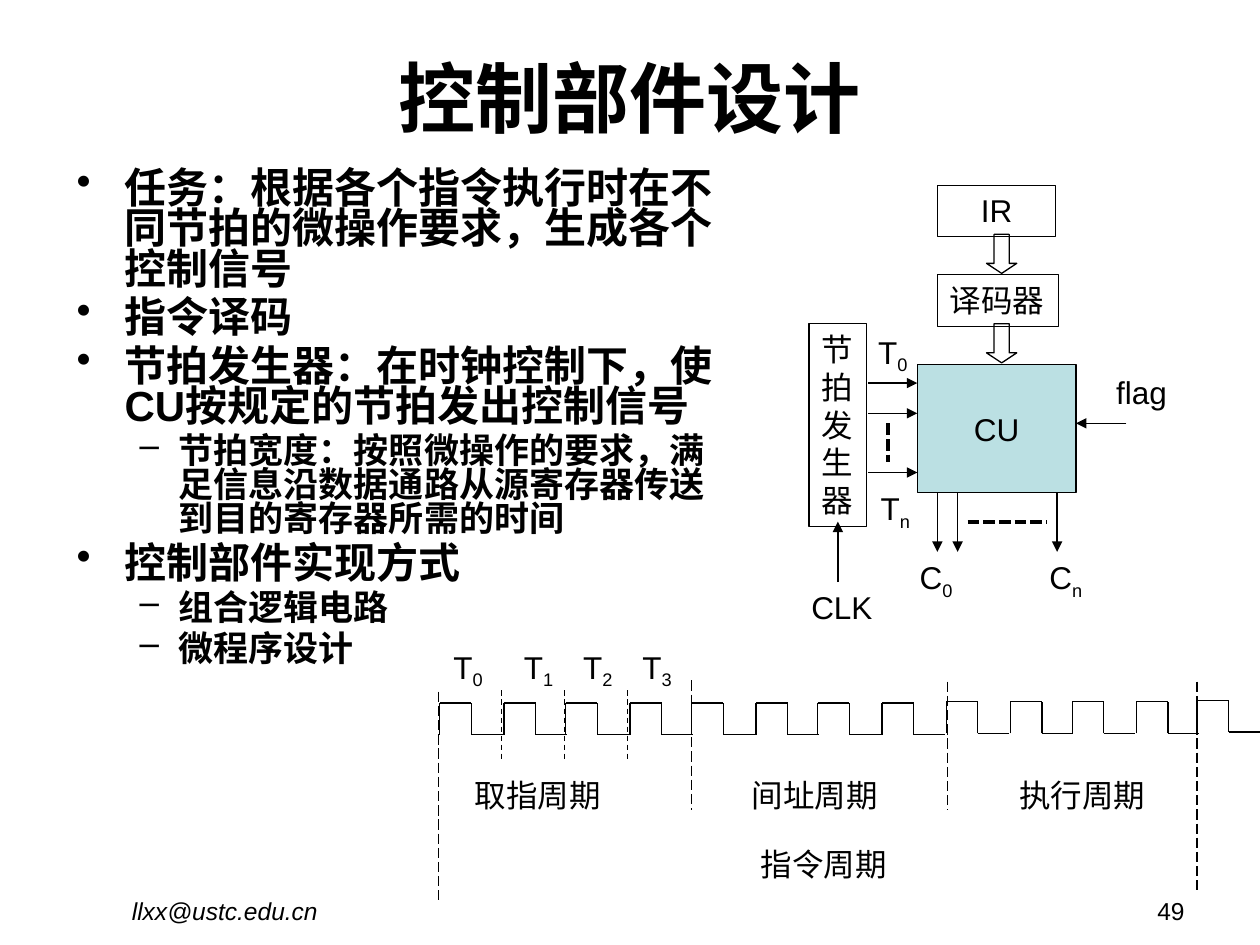
from lxml import etree
from pptx import Presentation
from pptx import util as u
from pptx.dml.color import RGBColor
from pptx.enum import dml, shapes, text
from pptx.oxml import ns

PX = 9144  # EMU per px, 100 px to the inch
COLOURS = {"ink": "000000", "unit": "BBE0E3"}
LEFT, CENTER, RIGHT = text.PP_ALIGN.LEFT, text.PP_ALIGN.CENTER, text.PP_ALIGN.RIGHT
DASH, LONG_DASH = dml.MSO_LINE.DASH, dml.MSO_LINE.LONG_DASH
DOTS = dml.MSO_LINE.SQUARE_DOT


def colour(name):
    return RGBColor.from_string(COLOURS[name])


def write(paragraph, words, size=18, bold=False, italic=False, sub=False):
    run = paragraph.add_run()
    run.text = words
    font = run.font
    font.name, font.size = "Arial", u.Pt(size)
    font.bold, font.italic = bold, italic
    font.color.rgb = colour("ink")
    if sub:
        run._r.get_or_add_rPr().set("baseline", "-25000")


class Drawer:
    def __init__(self, slide, line_width=0.75):
        self.slide = slide
        self.line_width = line_width

    def place(self, *lengths):
        return [u.Emu(length * PX) for length in lengths]

    def title(self, words, *at):
        shape = self.slide.shapes.title
        shape.left, shape.top, shape.width, shape.height = self.place(*at)
        frame = shape.text_frame
        frame.vertical_anchor = text.MSO_ANCHOR.MIDDLE
        frame.paragraphs[0].alignment = CENTER
        write(frame.paragraphs[0], words, size=44, bold=True)

    def label(self, words, *at, sub="", align=LEFT, wrap=False, **style):
        shape = self.slide.shapes.add_textbox(*self.place(*at))
        shape.text_frame.word_wrap = wrap
        paragraph = shape.text_frame.paragraphs[0]
        paragraph.alignment = align
        write(paragraph, words, **style)
        if sub:
            write(paragraph, sub, sub=True, **style)

    def bullets(self, items, *at):
        frame = self.slide.shapes.add_textbox(*self.place(*at)).text_frame
        frame.word_wrap = True
        for index, (level, words) in enumerate(items):
            paragraph = frame.add_paragraph() if index else frame.paragraphs[0]
            size, margin, hang, mark = [(24, 38, 38, "•"), (20, 81, 31, "–")][level]
            paragraph.level = level
            properties = paragraph._p.get_or_add_pPr()
            properties.set("marL", str(margin * PX))
            properties.set("indent", str(-hang * PX))
            etree.SubElement(properties, ns.qn("a:buChar")).set("char", mark)
            paragraph.line_spacing = 0.8
            paragraph.space_before = u.Pt(size * 0.2 if index else 0)
            write(paragraph, words, size=size, bold=True)

    def shape(self, kind, *at, fill=None):
        shape = self.slide.shapes.add_shape(kind, *self.place(*at))
        shape.shadow.inherit = False
        if fill:
            shape.fill.solid()
            shape.fill.fore_color.rgb = colour(fill)
        else:
            shape.fill.background()
        shape.line.color.rgb = colour("ink")
        shape.line.width = u.Pt(self.line_width)
        return shape

    def box(self, lines, *at, fill=None, align=CENTER, anchor=text.MSO_ANCHOR.TOP):
        frame = self.shape(shapes.MSO_SHAPE.RECTANGLE, *at, fill=fill).text_frame
        frame.word_wrap = False
        frame.vertical_anchor = anchor
        for index, words in enumerate(lines):
            paragraph = frame.add_paragraph() if index else frame.paragraphs[0]
            paragraph.alignment = align
            write(paragraph, words)

    def down_arrow(self, *at):
        shape = self.shape(shapes.MSO_SHAPE.DOWN_ARROW, *at)
        shape.adjustments[0], shape.adjustments[1] = 0.5, 0.33

    def line(self, *ends, dash=None, width=None, arrow=False):
        connector = self.slide.shapes.add_connector(
            shapes.MSO_CONNECTOR.STRAIGHT, *self.place(*ends))
        connector.line.color.rgb = colour("ink")
        connector.line.width = u.Pt(width or self.line_width)
        if dash:
            connector.line.dash_style = dash
        if arrow:
            etree.SubElement(connector.line._get_or_add_ln(),
                             ns.qn("a:tailEnd")).set("type", "triangle")
        etree.SubElement(connector._element.spPr, ns.qn("a:effectLst"))

    def pulse(self, x, top, half=25):
        middle, end, bottom = x + half, x + 2 * half, top + half
        self.line(x, bottom, x, top)
        self.line(middle, bottom, middle, top)
        self.line(x, top, middle, top)
        self.line(middle, bottom, end, bottom)


def draw_control_unit(drawer):
    # Instruction path: register, decoder, control unit
    drawer.box(["CU"], 728, 289, 126, 102, fill="unit", anchor=text.MSO_ANCHOR.MIDDLE)
    drawer.box(["译码器"], 744, 218, 96, 41, align=LEFT)
    drawer.box(["IR"], 744, 147, 94, 41)
    for top in (186, 257):
        drawer.down_arrow(783, top, 24, 31)
    drawer.line(894, 336, 854, 336, arrow=True)
    drawer.label("flag", 876, 291, 60, 40)

    # Beat generator and its clock
    drawer.box("节拍发生器", 642, 257, 46, 161, align=LEFT)
    for y in (304, 328, 375):
        drawer.line(689, y, 728, y, arrow=True)
    drawer.line(705, 336, 705, 367, dash=DOTS, width=2.25)
    drawer.line(665, 462, 665, 414, arrow=True)
    drawer.label("CLK", 634, 462, 69, 40)
    drawer.label("T", 687, 259, 45, 40, sub="0")
    drawer.label("T", 689, 383, 45, 40, sub="n")

    # Control signals
    for x in (744, 760, 839):
        drawer.line(x, 391, x, 438, arrow=True)
    drawer.line(768, 414, 831, 414, dash=DOTS, width=2.25)
    drawer.label("C", 720, 438, 47, 40, sub="0")
    drawer.label("C", 823, 438, 47, 40, sub="n")


def draw_timing(drawer):
    # Clock wave: four pulses a machine cycle, then the start of the next
    for start, top in ((349, 558), (549, 558), (751, 557)):
        for offset in (0, 51, 100, 151):
            drawer.pulse(start + offset, top)
    drawer.pulse(950, 556)

    # Cycle and beat boundaries
    for x, top, bottom in ((348, 549, 714), (549, 540, 643),
                           (752, 541, 643), (950, 541, 706)):
        drawer.line(x, top, x, bottom, dash=LONG_DASH)
    for x in (398, 448, 498):
        drawer.line(x, 548, x, 604, dash=DASH)

    # Names of beats and cycles
    for beat, x in enumerate((350, 406, 453, 500)):
        drawer.label("T", x, 509, 45, 40, sub=str(beat))
    for words, x, y in (("取指周期", 367, 611), ("间址周期", 587, 611),
                        ("执行周期", 799, 611), ("指令周期", 594, 666)):
        drawer.label(words, x, y, 120, 40)


def main():
    presentation = Presentation()
    presentation.slide_width, presentation.slide_height = u.Inches(10), u.Inches(7.5)
    drawer = Drawer(presentation.slides.add_slide(presentation.slide_layouts[5]))

    # Title and outline
    drawer.title("控制部件设计", 50, 30, 900, 93)
    drawer.bullets([
        (0, "任务：根据各个指令执行时在不同节拍的微操作要求，生成各个控制信号"),
        (0, "指令译码"),
        (0, "节拍发生器：在时钟控制下，使CU按规定的节拍发出控制信号"),
        (1, "节拍宽度：按照微操作的要求，满足信息沿数据通路从源寄存器传送到目的寄存器所需的时间"),
        (0, "控制部件实现方式"),
        (1, "组合逻辑电路"),
        (1, "微程序设计"),
    ], 51, 131, 529, 420)

    draw_control_unit(drawer)
    draw_timing(drawer)

    # Footer
    drawer.label("llxx@ustc.edu.cn", 20, 706, 317, 29,
                 align=CENTER, wrap=True, size=14, italic=True)
    drawer.label("49", 717, 706, 233, 29, align=RIGHT, wrap=True, size=14)
    presentation.save("out.pptx")


if __name__ == "__main__":
    main()
